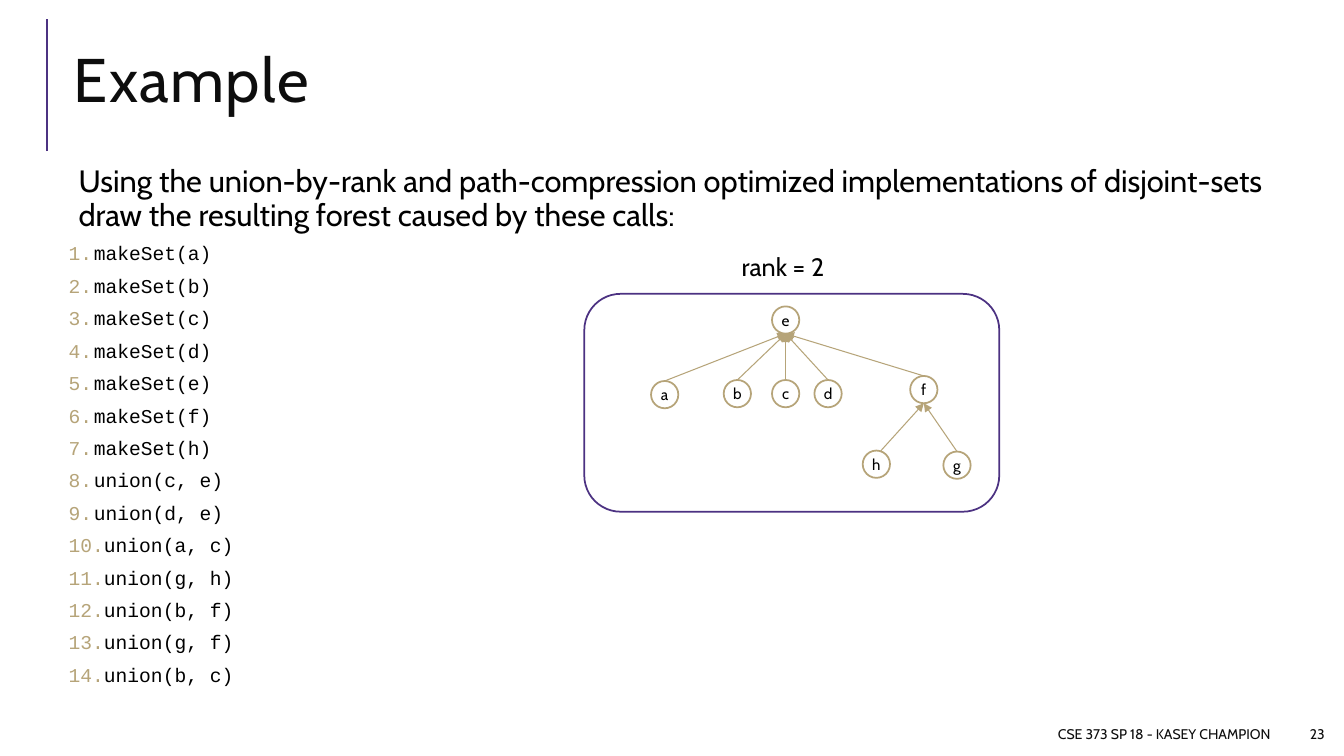
"""Build the disjoint-set forest example slide."""
from lxml import etree
from pptx import Presentation
from pptx.dml.color import RGBColor
from pptx.enum.shapes import MSO_CONNECTOR, MSO_SHAPE
from pptx.enum.text import MSO_ANCHOR, MSO_AUTO_SIZE, PP_ALIGN
from pptx.oxml.ns import qn
from pptx.util import Pt

STRAIGHT = MSO_CONNECTOR.STRAIGHT
OVAL, ROUNDED = MSO_SHAPE.OVAL, MSO_SHAPE.ROUNDED_RECTANGLE
TOP, MIDDLE = MSO_ANCHOR.TOP, MSO_ANCHOR.MIDDLE
LEFT, CENTER, RIGHT = PP_ALIGN.LEFT, PP_ALIGN.CENTER, PP_ALIGN.RIGHT
FIXED = MSO_AUTO_SIZE.NONE

PURPLE = RGBColor(0x4C, 0x32, 0x82)
GOLD = RGBColor(0xB6, 0xA4, 0x79)
BLACK = RGBColor(0, 0, 0)
NEAR_BLACK = RGBColor(0x0D, 0x0D, 0x0D)
WHITE = RGBColor(0xFF, 0xFF, 0xFF)
BODY_FONT, CODE_FONT = "Cabin", "Courier New"

TASK = ("Using the union-by-rank and path-compression optimized implementations "
        "of disjoint-sets draw the resulting forest caused by these calls:")
CALLS = [f"makeSet({item})" for item in "abcdefh"] + [
    f"union({pair})" for pair in
    ("c, e", "d, e", "a, c", "g, h", "b, f", "g, f", "b, c")]

NODE_SIZE = 19.5
NODE_CENTERS = {
    "e": (561.2, 228.6), "a": (474.8, 281.9), "b": (526.7, 281.2),
    "c": (561.2, 281.2), "d": (591.5, 281.2), "f": (659.9, 278.3),
    "h": (626, 331.6), "g": (683.6, 332.3)}
PARENTS = {"a": "e", "b": "e", "c": "e", "d": "e", "f": "e", "h": "f", "g": "f"}
START_SHIFTS = {"h": 3.3}


def style_paragraph(paragraph, size, color, font=BODY_FONT, align=LEFT):
    """Set the alignment and run fonts of a paragraph."""
    paragraph.alignment = align
    for run in paragraph.runs:
        run.font.name = font
        run.font.size = Pt(size)
        run.font.color.rgb = color


def add_text(slide, box, text, size, color, align=LEFT, anchor=TOP, wrap=True):
    """Add a one-paragraph text box."""
    frame = slide.shapes.add_textbox(*map(Pt, box)).text_frame
    frame.word_wrap = wrap
    frame.vertical_anchor = anchor
    frame.text = text
    style_paragraph(frame.paragraphs[0], size, color, align=align)


def add_line(slide, start, end, color, width, arrow=False):
    """Add a straight line, with an arrowhead at its end if asked."""
    line = slide.shapes.add_connector(STRAIGHT, *map(Pt, (*start, *end)))
    line.line.color.rgb = color
    line.line.width = Pt(width)
    if arrow:
        etree.SubElement(line.line._get_or_add_ln(), qn("a:tailEnd"), type="triangle")
    etree.SubElement(line._element.spPr, qn("a:effectLst"))


def add_outline(slide, kind, box, color):
    """Add an unfilled preset shape with a coloured outline."""
    shape = slide.shapes.add_shape(kind, *map(Pt, box))
    shape.shadow.inherit = False
    shape.fill.background()
    shape.line.color.rgb = color
    shape.line.width = Pt(1.25)
    return shape


def add_node(slide, name, center):
    """Add a labelled tree node around its centre."""
    x, y = center
    box = (x - NODE_SIZE / 2, y - NODE_SIZE / 2, NODE_SIZE, NODE_SIZE)
    node = add_outline(slide, OVAL, box, GOLD)
    node.fill.solid()
    node.fill.fore_color.rgb = WHITE
    frame = node.text_frame
    frame.margin_left = frame.margin_right = frame.margin_top = frame.margin_bottom = 0
    frame.word_wrap = False
    frame.vertical_anchor = MIDDLE
    frame.text = name
    style_paragraph(frame.paragraphs[0], 11, BLACK, align=CENTER)


def add_edge(slide, child, parent):
    """Point an arrow from the top of a child to the bottom of its parent."""
    child_x, child_y = NODE_CENTERS[child]
    parent_x, parent_y = NODE_CENTERS[parent]
    start = (child_x + START_SHIFTS.get(child, 0), child_y - NODE_SIZE / 2)
    add_line(slide, start, (parent_x, parent_y + NODE_SIZE / 2), GOLD, 0.75, arrow=True)


def number_paragraph(paragraph, indent):
    """Give a paragraph a gold automatic number and a hanging indent."""
    properties = paragraph._p.get_or_add_pPr()
    properties.set("marL", str(Pt(indent)))
    properties.set("indent", str(Pt(-indent)))
    bullet_color = etree.SubElement(properties, qn("a:buClr"))
    etree.SubElement(bullet_color, qn("a:srgbClr"), val=str(GOLD))
    etree.SubElement(properties, qn("a:buFont"), typeface=CODE_FONT)
    etree.SubElement(properties, qn("a:buAutoNum"), type="arabicPeriod")


def add_task(slide):
    """Add the task statement and its numbered calls."""
    frame = slide.shapes.add_textbox(Pt(45.4), Pt(115.2), Pt(880.6), Pt(381.6)).text_frame
    frame.word_wrap = True
    frame.margin_left = frame.margin_right = Pt(3.6)
    frame.margin_top = frame.margin_bottom = Pt(3.6)
    frame.text = "\n".join([TASK] + CALLS)
    task, *calls = frame.paragraphs
    for paragraph in frame.paragraphs:
        paragraph.line_spacing = 0.9
        paragraph.space_before = Pt(6)
        paragraph.space_after = Pt(2)
    task.space_before = Pt(12)
    task._p.get_or_add_pPr().set("marL", str(Pt(7.2)))
    style_paragraph(task, 22, BLACK)
    for call in calls:
        style_paragraph(call, 14, BLACK, CODE_FONT)
        number_paragraph(call, 18)


def set_title(slide, text):
    """Place and format the title placeholder."""
    title = slide.shapes.title
    title.left, title.top, title.width, title.height = map(Pt, (45.4, 20.9, 880.6, 79.9))
    frame = title.text_frame
    frame.text = text
    frame.auto_size = FIXED
    frame.vertical_anchor = MIDDLE
    paragraph = frame.paragraphs[0]
    paragraph.line_spacing = 0.8
    style_paragraph(paragraph, 44, NEAR_BLACK)
    paragraph.runs[0].font._element.set("spc", "100")


def main():
    """Build and save the slide."""
    presentation = Presentation()
    presentation.slide_width, presentation.slide_height = Pt(960), Pt(540)
    slide = presentation.slides.add_slide(presentation.slide_layouts[5])
    add_line(slide, (33.8, 108), (33.8, 13.7), PURPLE, 1.5)
    set_title(slide, "Example")
    add_task(slide)
    add_text(slide, (450, 513.4, 464.4, 21.6), "CSE 373 SP 18 - KASEY CHAMPION",
             10, NEAR_BLACK, RIGHT, MIDDLE)
    add_text(slide, (920.2, 513.4, 33.1, 21.6), "23", 10, NEAR_BLACK, RIGHT, MIDDLE)
    add_outline(slide, ROUNDED, (417.4, 209.9, 296.4, 155.6), PURPLE)
    add_text(slide, (522.7, 175.7, 79.9, 28.8), "rank = 2", 18, BLACK, wrap=False)
    for name, center in NODE_CENTERS.items():
        add_node(slide, name, center)
    for child, parent in PARENTS.items():
        add_edge(slide, child, parent)
    presentation.save("out.pptx")


if __name__ == "__main__":
    main()
